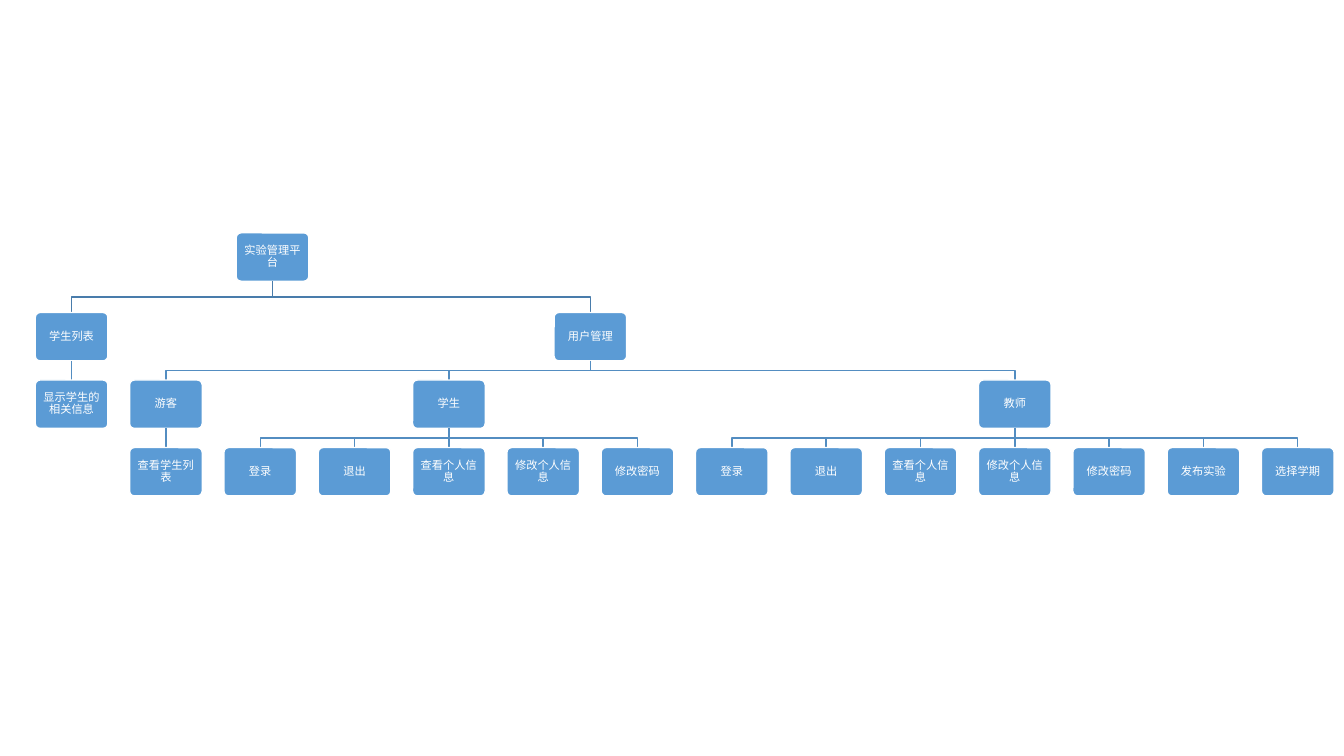
import itertools

import pptx
import pptx.dml.color
import pptx.enum.shapes
import pptx.enum.text
import pptx.oxml.ns
import pptx.util
from lxml import etree

COLORS = {"box": "5B9BD5", "text": "FFFFFF", "edge": "FFFFFF",
          "top_link": "497CAB", "link": "538DC1"}
COLUMN, LEFT = 0.9355, 0.71
ROW_TOPS = (2.31, 3.1, 3.77, 4.44)
BOX_WIDTH, BOX_HEIGHT = 0.72, 0.48
ROOT_COLUMN = 2.13

ACCOUNT = ["登录", "退出", "查看个人信息", "修改个人信息", "修改密码"]
PLATFORM = ("实验管理平台", [
    ("学生列表", ["显示学生的相关信息"]),
    ("用户管理", [
        ("游客", ["查看学生列表"]),
        ("学生", ACCOUNT),
        ("教师", ACCOUNT + ["发布实验", "选择学期"]),
    ]),
])


def apply(target, values):
    """Set each attribute of target from a dict."""
    for key, value in values.items():
        setattr(target, key, value)


def place(node, leaf_columns):
    """Return (label, column, children), each parent midway over its children."""
    if isinstance(node, str):
        return node, next(leaf_columns), []
    label, parts = node
    children = [place(part, leaf_columns) for part in parts]
    return label, (children[0][1] + children[-1][1]) / 2, children


class Chart:
    """Hold the style and the slide of the hierarchy."""

    inset = pptx.util.Inches(0.045)
    frame_format = {"word_wrap": True,
                    "vertical_anchor": pptx.enum.text.MSO_ANCHOR.MIDDLE,
                    "margin_left": inset, "margin_right": inset,
                    "margin_top": inset, "margin_bottom": inset}
    paragraph_format = {"alignment": pptx.enum.text.PP_ALIGN.CENTER,
                        "line_spacing": 0.9}
    font_format = {"name": "Calibri", "size": pptx.util.Pt(8)}

    def __init__(self, slide):
        """Keep the slide to draw on."""
        self.slide = slide

    def x(self, column):
        """Return the centre of a column."""
        return pptx.util.Inches(LEFT + column * COLUMN)

    def color(self, name):
        """Return a named colour."""
        return pptx.dml.color.RGBColor.from_string(COLORS[name])

    def outline(self, shape, color):
        """Give a shape its one-point line."""
        shape.line.color.rgb = self.color(color)
        shape.line.width = pptx.util.Pt(1)

    def box(self, label, column, row):
        """Draw one labelled box."""
        width = pptx.util.Inches(BOX_WIDTH)
        shape = self.slide.shapes.add_shape(
            pptx.enum.shapes.MSO_SHAPE.ROUNDED_RECTANGLE,
            self.x(column) - width // 2, pptx.util.Inches(ROW_TOPS[row]),
            width, pptx.util.Inches(BOX_HEIGHT))
        shape.adjustments[0] = 0.1
        shape.shadow.inherit = False
        shape.fill.solid()
        shape.fill.fore_color.rgb = self.color("box")
        self.outline(shape, "edge")
        apply(shape.text_frame, self.frame_format)
        paragraph = shape.text_frame.paragraphs[0]
        apply(paragraph, self.paragraph_format)
        run = paragraph.add_run()
        run.text = label
        apply(run.font, self.font_format)
        run.font.color.rgb = self.color("text")

    def link(self, parent_column, child_column, row):
        """Join a parent to a child in the row below."""
        start, end = self.x(parent_column), self.x(child_column)
        top = pptx.util.Inches(ROW_TOPS[row] + BOX_HEIGHT)
        bottom = pptx.util.Inches(ROW_TOPS[row + 1])
        if start == end:
            line = self.slide.shapes.add_connector(
                pptx.enum.shapes.MSO_CONNECTOR.STRAIGHT, start, top, end, bottom)
            etree.SubElement(line._element.spPr, pptx.oxml.ns.qn("a:effectLst"))
        else:
            middle = (top + bottom) // 2
            builder = self.slide.shapes.build_freeform(start, top)
            builder.add_line_segments(
                [(start, middle), (end, middle), (end, bottom)], close=False)
            line = builder.convert_to_shape()
            line.fill.background()
            line.shadow.inherit = False
        self.outline(line, "link" if row else "top_link")

    def branch(self, label, column, children, row=0):
        """Draw a node and everything below it."""
        self.box(label, column, row)
        for child in children:
            self.link(column, child[1], row)
            self.branch(*child, row=row + 1)


deck = pptx.Presentation()
apply(deck, {"slide_width": pptx.util.Inches(13.33),
             "slide_height": pptx.util.Inches(7.5)})
chart = Chart(deck.slides.add_slide(deck.slide_layouts[6]))
title, _, modules = place(PLATFORM, itertools.count())
chart.branch(title, ROOT_COLUMN, modules)
deck.save("out.pptx")
